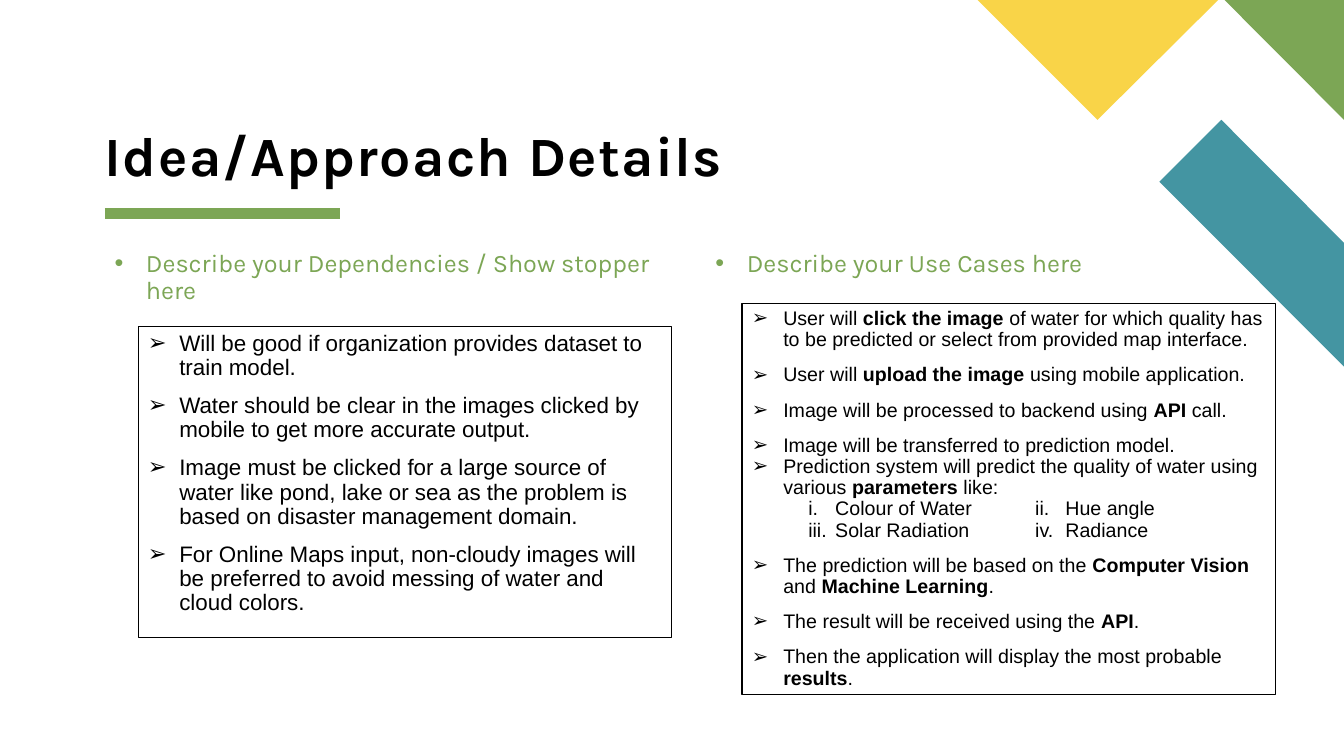
from dataclasses import dataclass

from lxml import etree
from pptx import Presentation
from pptx import util as u
from pptx.dml.color import RGBColor
from pptx.enum import shapes, text
from pptx.oxml import ns


@dataclass(frozen=True)
class Theme:
    black: RGBColor = RGBColor(0x00, 0x00, 0x00)
    green: RGBColor = RGBColor(0x7C, 0xA6, 0x55)
    teal: RGBColor = RGBColor(0x44, 0x95, 0xA2)
    yellow: RGBColor = RGBColor(0xF9, 0xD4, 0x48)
    heading_font: str = "Karla"
    body_font: str = "Arial"
    title_size: float = 39.6
    heading_size: int = 18
    dependency_size: int = 16
    use_case_size: int = 14


THEME = Theme()
BULLET_INDENT = u.Cm(0.79)
PARAMETER_TABS = (1.42, 2.1, 7.14, 7.9)

DEPENDENCIES = [
    "Will be good if organization provides dataset to train model.",
    "Water should be clear in the images clicked by mobile to get more accurate output.",
    "Image must be clicked for a large source of water like pond, lake or sea "
    "as the problem is based on disaster management domain.",
    "For Online Maps input, non-cloudy images will be preferred to avoid "
    "messing of water and cloud colors.",
]
# Double asterisks switch bold on and off; a leading tab marks a parameter row.
USE_CASES = [
    "User will **click the image **of water for which quality has to be predicted "
    "or select from provided map interface.",
    "User will **upload the image **using mobile application.",
    "Image will be processed to backend using **API** call.",
    "Image will be transferred to prediction model.",
    "Prediction system will predict the quality of water using various **parameters** like:",
    "\ti.\tColour of Water\tii.\tHue angle",
    "\tiii.\tSolar Radiation\tiv.\tRadiance",
    "The prediction will be based on the **Computer Vision **and **Machine Learning**.",
    "The result will be received using the **API**.",
    "Then the application will display the most probable **results**.",
]
TIGHT_USE_CASES = {4, 5, 6}


def style_font(font, name, size, color):
    font.name = name
    font.size = u.Pt(size)
    font.color.rgb = color


def add_polygon(slide, points, color):
    """Draw a filled outline through points given in centimetres."""
    start, *others = [(u.Cm(x), u.Cm(y)) for x, y in points]
    builder = slide.shapes.build_freeform(*start, scale=1.0)
    builder.add_line_segments(others, close=True)
    shape = builder.convert_to_shape()
    shape.shadow.inherit = False
    shape.fill.solid()
    shape.fill.fore_color.rgb = color
    shape.line.fill.background()


def add_rule(slide, left, right, top):
    rule = slide.shapes.add_connector(
        shapes.MSO_CONNECTOR.STRAIGHT, u.Cm(left), u.Cm(top), u.Cm(right), u.Cm(top))
    rule.line.color.rgb = THEME.green
    rule.line.width = u.Pt(8)
    etree.SubElement(rule.element.spPr, ns.qn("a:effectLst"))


def set_title(slide, wording):
    title = slide.shapes.title
    title.left, title.top = u.Cm(2.64), u.Cm(3.05)
    title.width, title.height = u.Cm(16.05), u.Cm(1.7)
    frame = title.text_frame
    frame.margin_left = frame.margin_top = frame.margin_right = frame.margin_bottom = 0
    frame.vertical_anchor = text.MSO_ANCHOR.BOTTOM
    frame.auto_size = text.MSO_AUTO_SIZE.NONE
    paragraph = frame.paragraphs[0]
    paragraph.alignment = text.PP_ALIGN.LEFT
    paragraph.line_spacing = 0.9
    run = paragraph.add_run()
    run.text = wording
    style_font(paragraph.font, THEME.heading_font, THEME.title_size, THEME.black)
    paragraph.font.bold = True
    run.font._element.set("spc", "100")


def set_bullet(paragraph, character):
    properties = paragraph._p.get_or_add_pPr()
    properties.set("marL", str(BULLET_INDENT))
    properties.set("indent", str(-BULLET_INDENT))
    etree.SubElement(properties, ns.qn("a:buFont"), typeface=THEME.body_font)
    etree.SubElement(properties, ns.qn("a:buChar"), char=character)


def set_tabs(paragraph, positions):
    tab_list = etree.SubElement(paragraph._p.get_or_add_pPr(), ns.qn("a:tabLst"))
    for position in positions:
        etree.SubElement(tab_list, ns.qn("a:tab"), pos=str(u.Cm(position)), algn="l")


def add_marked_runs(paragraph, wording):
    for index, part in enumerate(wording.split("**")):
        if part:
            run = paragraph.add_run()
            run.text = part
            if index % 2:
                run.font.bold = True


def fill_list(frame, items, character, font, tight=()):
    """Write items as paragraphs; indexes in tight get no space before."""
    frame.word_wrap = True
    frame.vertical_anchor = text.MSO_ANCHOR.TOP
    for index, item in enumerate(items):
        paragraph = frame.add_paragraph() if index else frame.paragraphs[0]
        paragraph.alignment = text.PP_ALIGN.LEFT
        paragraph.line_spacing = 0.9
        paragraph.space_before = u.Pt(0 if index in tight else 10)
        if item.startswith("\t"):
            set_tabs(paragraph, PARAMETER_TABS)
        else:
            set_bullet(paragraph, character)
        style_font(paragraph.font, *font)
        add_marked_runs(paragraph, item)


def add_heading(slide, left, width, wording):
    box = slide.shapes.add_textbox(u.Cm(left), u.Cm(6.2), u.Cm(width), u.Cm(0.89))
    fill_list(box.text_frame, [wording], "•",
              (THEME.heading_font, THEME.heading_size, THEME.green))


def add_list_box(slide, left, top, height, items, size, tight=()):
    box = slide.shapes.add_shape(
        shapes.MSO_SHAPE.RECTANGLE, u.Cm(left), u.Cm(top), u.Cm(13.44), u.Cm(height))
    box.shadow.inherit = False
    box.fill.background()
    box.line.color.rgb = THEME.black
    box.line.width = u.Pt(0.75)
    fill_list(box.text_frame, items, "➢", (THEME.body_font, size, THEME.black), tight)


def main():
    presentation = Presentation()
    presentation.slide_width, presentation.slide_height = u.Cm(33.87), u.Cm(19.05)
    slide = presentation.slides.add_slide(presentation.slide_layouts.get_by_name("Title Only"))

    add_rule(slide, 2.64, 8.58, 5.38)
    add_polygon(slide, [(33.87, 9.24), (33.87, 6.12), (30.78, 3.02), (29.22, 4.58)], THEME.teal)
    add_polygon(slide, [(33.87, 3.02), (33.87, 0), (30.86, 0)], THEME.green)
    add_polygon(slide, [(24.64, 0), (27.66, 3.02), (30.7, 0)], THEME.yellow)

    set_title(slide, "Idea/Approach Details")
    add_heading(slide, 17.78, 13.44, "Describe your Use Cases here")
    add_list_box(slide, 18.7, 7.65, 9.86, USE_CASES, THEME.use_case_size, TIGHT_USE_CASES)
    add_heading(slide, 2.64, 14.27, "Describe your Dependencies / Show stopper here")
    add_list_box(slide, 3.48, 8.24, 7.82, DEPENDENCIES, THEME.dependency_size)

    presentation.save("out.pptx")


if __name__ == "__main__":
    main()
